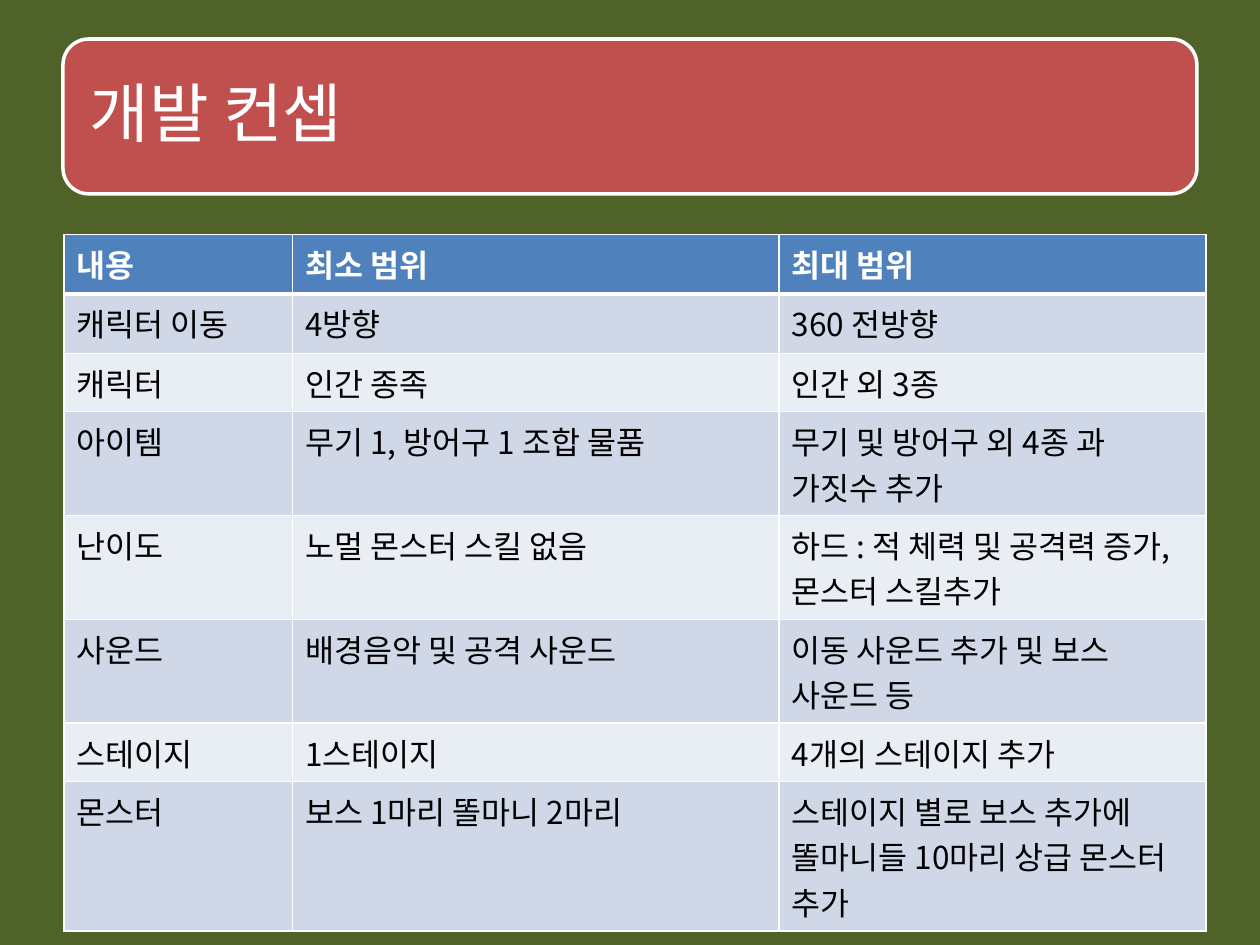
from lxml import etree
from pptx import Presentation
from pptx.dml.color import RGBColor
from pptx.enum import shapes, text
from pptx.oxml import ns
from pptx.util import Pt

FONT = "Noto Sans CJK KR"
WHITE, BLACK = "FFFFFF", "000000"
GREEN, RED, BLUE = "4F6228", "C0504D", "4F81BD"
BANDS = ["D0D8E8", "E9EDF4"]

COLUMN_WIDTHS = [130.5, 278, 244]
ROW_HEIGHTS = [34, 34, 28, 28, 33, 23, 23, 57]
ROWS = [
    ["내용", "최소 범위", "최대 범위"],
    ["캐릭터 이동", "4방향", "360 전방향"],
    ["캐릭터", "인간 종족", "인간 외 3종"],
    ["아이템", "무기 1, 방어구 1 조합 물품", "무기 및 방어구 외 4종 과 가짓수 추가"],
    ["난이도", "노멀 몬스터 스킬 없음", "하드 : 적 체력 및 공격력 증가, 몬스터 스킬추가"],
    ["사운드", "배경음악 및 공격 사운드", "이동 사운드 추가 및 보스 사운드 등"],
    ["스테이지", "1스테이지", "4개의 스테이지 추가"],
    ["몬스터", "보스 1마리 똘마니 2마리", "스테이지 별로 보스 추가에 똘마니들 10마리 상급 몬스터 추가"],
]


def paint(fill, color):
    fill.solid()
    fill.fore_color.rgb = RGBColor.from_string(color)


def style(para, size, color, bold=False):
    font = para.font
    font.size, font.bold, font.name = Pt(size), bold, FONT
    paint(font.fill, color)
    properties = para._p.pPr.find(ns.qn("a:defRPr"))
    etree.SubElement(properties, ns.qn("a:ea"), typeface=FONT)


def add_border(cell, side, width):
    properties = cell._tc.get_or_add_tcPr()
    line = etree.SubElement(properties, ns.qn(f"a:ln{side}"), w=str(Pt(width)))
    fill = etree.SubElement(line, ns.qn("a:solidFill"))
    etree.SubElement(fill, ns.qn("a:srgbClr"), val=WHITE)


def add_banner(slide, left, top, width, height):
    banner = slide.shapes.add_shape(
        shapes.MSO_SHAPE.ROUNDED_RECTANGLE, Pt(left), Pt(top), Pt(width), Pt(height))
    banner.shadow.inherit = False
    paint(banner.fill, RED)
    paint(banner.line.fill, WHITE)
    banner.line.width = Pt(2)

    title = slide.shapes.title
    title.element.addprevious(banner.element)
    inset = 4.3
    title.left, title.top = Pt(left + inset), Pt(top + inset)
    title.width, title.height = Pt(width - 2 * inset), Pt(height - 2 * inset)
    frame = title.text_frame
    frame.text = "개발 컨셉"
    frame.word_wrap = True
    frame.auto_size = text.MSO_AUTO_SIZE.NONE
    frame.vertical_anchor = text.MSO_ANCHOR.MIDDLE
    frame.margin_left = frame.margin_right = Pt(11)
    frame.margin_top = frame.margin_bottom = Pt(11)
    para = frame.paragraphs[0]
    para.alignment = text.PP_ALIGN.LEFT
    para.line_spacing = 0.9
    style(para, 37, WHITE)


def fill_cell(cell, words, row):
    header = row == 0
    cell.text = words
    style(cell.text_frame.paragraphs[0], 18, WHITE if header else BLACK, header)
    for side in "LRTB":
        under_header = (row, side) in [(0, "B"), (1, "T")]
        add_border(cell, side, 3 if under_header else 1)
    paint(cell.fill, BLUE if header else BANDS[(row - 1) % 2])


def add_scope_table(slide, left, top, width, height):
    table = slide.shapes.add_table(
        len(ROWS), len(COLUMN_WIDTHS), Pt(left), Pt(top), Pt(width), Pt(height)).table
    for column, column_width in zip(table.columns, COLUMN_WIDTHS):
        column.width = Pt(column_width)
    for row, (entries, row_height) in enumerate(zip(ROWS, ROW_HEIGHTS)):
        table.rows[row].height = Pt(row_height)
        for column, words in enumerate(entries):
            fill_cell(table.cell(row, column), words, row)


def main():
    deck = Presentation()
    deck.slide_width, deck.slide_height = Pt(720), Pt(540)
    page = deck.slides.add_slide(deck.slide_layouts[5])
    paint(page.background.fill, GREEN)
    add_banner(page, 36, 22.3, 648, 88.5)
    add_scope_table(page, 36.7, 134, sum(COLUMN_WIDTHS), sum(ROW_HEIGHTS))
    deck.save("out.pptx")


if __name__ == "__main__":
    main()
